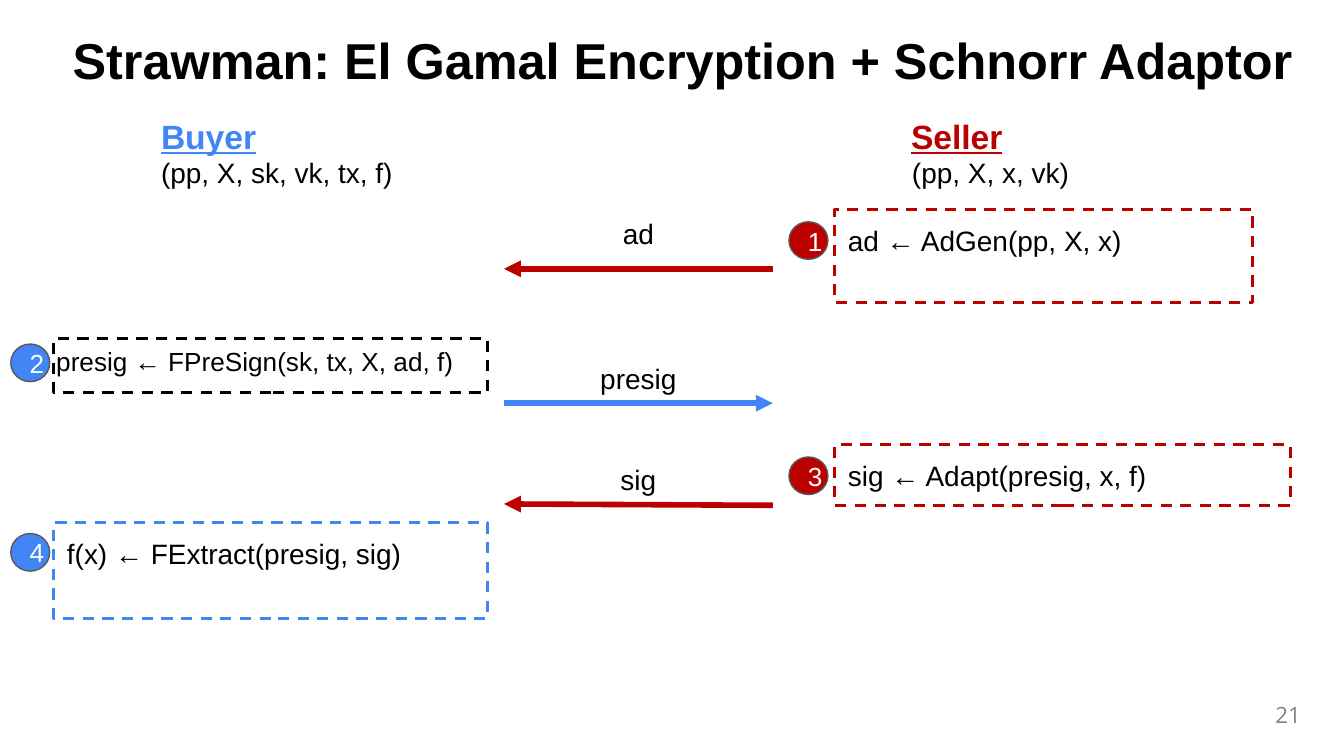
from dataclasses import dataclass
from typing import Optional

from lxml import etree
from pptx import Presentation
from pptx.dml.color import RGBColor
from pptx.enum import dml, shapes, text
from pptx.oxml.ns import qn
from pptx import util as u

# Widescreen slide; one grid cell is a hundredth of its width, in both directions
SLIDE_WIDTH = u.Inches(10)
SLIDE_HEIGHT = SLIDE_WIDTH * 9 // 16
CELL = SLIDE_WIDTH / 100


@dataclass(frozen=True)
class Theme:
    font: str = "Arial"
    number_font: str = "Open Sans"
    black: str = "000000"
    white: str = "FFFFFF"
    blue: str = "4285F4"
    red: str = "BB0000"
    gray: str = "828282"
    badge_line: str = "595959"
    title: int = 27
    heading: int = 18
    body: int = 15
    small: int = 14
    page: int = 12


THEME = Theme()


@dataclass(frozen=True)
class Box:
    """Left, top, width and height in grid cells."""
    column: float
    row: float
    columns: float
    rows: float

    def lengths(self) -> tuple[int, ...]:
        return tuple(round(n * CELL) for n in (self.column, self.row, self.columns, self.rows))


@dataclass(frozen=True)
class Party:
    name: str
    inputs: str
    color: str
    heading: Box
    inputs_align: text.PP_ALIGN
    badge_column: float
    step_column: float


@dataclass(frozen=True)
class Step:
    number: int
    party: Party
    formula: str
    row: float
    columns: float
    rows: float
    badge_row: float
    outline: str
    label: Optional[Box] = None  # separate text box, where the formula overhangs
    size: int = THEME.body


@dataclass(frozen=True)
class Message:
    label: str
    label_row: float
    label_columns: float
    left_row: float
    right_row: float
    color: str
    to_seller: bool


LEFT, CENTER, RIGHT = text.PP_ALIGN.LEFT, text.PP_ALIGN.CENTER, text.PP_ALIGN.RIGHT
TOP, MIDDLE = text.MSO_ANCHOR.TOP, text.MSO_ANCHOR.MIDDLE

BUYER = Party("Buyer", "(pp, X, sk, vk, tx, f)", THEME.blue, Box(11, 7.6, 21.4, 7.6), LEFT, 0.8, 4)
SELLER = Party("Seller", "(pp, X, x, vk)", THEME.red, Box(66.8, 7.6, 13.8, 7.6), CENTER, 58.7, 62.1)

STEPS = [
    Step(1, SELLER, "ad ← AdGen(pp, X, x)", 15.6, 31.1, 6.9, 16.5, THEME.red),
    Step(2, BUYER, "presig ← FPreSign(sk, tx, X, ad, f)", 25.2, 32.3, 4, 25.6, THEME.black,
         Box(3.2, 24.7, 37.1, 4.4), THEME.small),
    Step(3, SELLER, "sig ← Adapt(presig, x, f)", 33.1, 33.9, 4.5, 34, THEME.red),
    Step(4, BUYER, "f(x) ← FExtract(presig, sig)", 38.9, 32.3, 7.1, 39.7, THEME.blue),
]

ARROW_LEFT, ARROW_RIGHT = 37.5, 57.5
MESSAGES = [
    Message("ad", 15.6, 14.4, 20, 20, THEME.red, False),
    Message("presig", 26.4, 14.4, 30, 30, THEME.blue, True),
    Message("sig", 33.9, 7, 37.5, 37.6, THEME.red, False),
]


def rgb(color: str) -> RGBColor:
    return RGBColor.from_string(color)


def set_frame(shape, anchor, inset: float = 0.1) -> None:
    frame = shape.text_frame
    frame.word_wrap = True
    frame.auto_size = text.MSO_AUTO_SIZE.NONE
    frame.vertical_anchor = anchor
    frame.margin_left = frame.margin_right = u.Inches(inset)
    frame.margin_top = frame.margin_bottom = u.Inches(inset)


def write(paragraph, words: str, size: int, color: str = THEME.black, align=LEFT,
          font: str = THEME.font, bold: bool = False, underline: bool = False) -> None:
    paragraph.text = words
    paragraph.alignment = align
    paragraph.font.name = font
    paragraph.font.size = u.Pt(size)
    paragraph.font.bold = bold
    paragraph.font.underline = underline
    paragraph.font.color.rgb = rgb(color)


def add_text(slide, box: Box, anchor=TOP, inset: float = 0.1):
    shape = slide.shapes.add_textbox(*box.lengths())
    set_frame(shape, anchor, inset)
    return shape.text_frame


def add_shape(slide, kind, box: Box, line: str, width: float, fill: Optional[str] = None):
    shape = slide.shapes.add_shape(kind, *box.lengths())
    shape.shadow.inherit = False
    if fill:
        shape.fill.solid()
        shape.fill.fore_color.rgb = rgb(fill)
    else:
        shape.fill.background()
    shape.line.color.rgb = rgb(line)
    shape.line.width = u.Pt(width)
    return shape


def add_party(slide, party: Party) -> None:
    frame = add_text(slide, party.heading)
    write(frame.paragraphs[0], party.name, THEME.heading, party.color, bold=True, underline=True)
    write(frame.add_paragraph(), party.inputs, THEME.body, align=party.inputs_align)


def add_step(slide, step: Step) -> None:
    box = Box(step.party.step_column, step.row, step.columns, step.rows)
    outline = add_shape(slide, shapes.MSO_SHAPE.RECTANGLE, box, step.outline, 1.5)
    outline.line.dash_style = dml.MSO_LINE.DASH
    set_frame(outline, TOP)
    frame = add_text(slide, step.label) if step.label else outline.text_frame
    write(frame.paragraphs[0], step.formula, step.size)

    # Numbered badge, its digit set with a hanging indent
    badge = add_shape(slide, shapes.MSO_SHAPE.OVAL,
                      Box(step.party.badge_column, step.badge_row, 2.9, 2.8),
                      THEME.badge_line, 0.75, step.party.color)
    set_frame(badge, MIDDLE)
    paragraph = badge.text_frame.paragraphs[0]
    write(paragraph, str(step.number), THEME.small, THEME.white, CENTER)
    properties = paragraph._p.get_or_add_pPr()
    properties.set("marL", "0")
    properties.set("indent", str(u.Inches(-0.12)))


def add_message(slide, message: Message) -> None:
    middle = (ARROW_LEFT + ARROW_RIGHT) / 2
    box = Box(middle - message.label_columns / 2, message.label_row, message.label_columns, 3.5)
    write(add_text(slide, box, MIDDLE).paragraphs[0], message.label, THEME.body, align=CENTER)

    ends = [(ARROW_LEFT, message.left_row), (ARROW_RIGHT, message.right_row)]
    start, end = ends if message.to_seller else reversed(ends)
    arrow = slide.shapes.add_connector(shapes.MSO_CONNECTOR.STRAIGHT,
                                       *(round(n * CELL) for n in (*start, *end)))
    arrow.line.color.rgb = rgb(message.color)
    arrow.line.width = u.Pt(3)
    etree.SubElement(arrow.line._get_or_add_ln(), qn("a:tailEnd"), type="triangle")
    etree.SubElement(arrow._element.spPr, qn("a:effectLst"))


def main() -> None:
    presentation = Presentation()
    presentation.slide_width, presentation.slide_height = SLIDE_WIDTH, SLIDE_HEIGHT
    slide = presentation.slides.add_slide(presentation.slide_layouts.get_by_name("Title Only"))

    # Title
    title = slide.shapes.title
    title.left, title.top, title.width, title.height = Box(5, 2.3, 95, 4.8).lengths()
    set_frame(title, MIDDLE, 0.04)
    heading = title.text_frame.paragraphs[0]
    write(heading, "Strawman: El Gamal Encryption + Schnorr Adaptor", THEME.title, bold=True)
    heading.line_spacing = 0.9

    # Protocol
    for party in (BUYER, SELLER):
        add_party(slide, party)
    for step in STEPS:
        add_step(slide, step)
    for message in MESSAGES:
        add_message(slide, message)

    # Page number
    page = add_text(slide, Box(94.3, 51.8, 2.9, 2.8), MIDDLE, 0.04)
    write(page.paragraphs[0], "21", THEME.page, THEME.gray, RIGHT, THEME.number_font)

    presentation.save("out.pptx")


if __name__ == "__main__":
    main()
